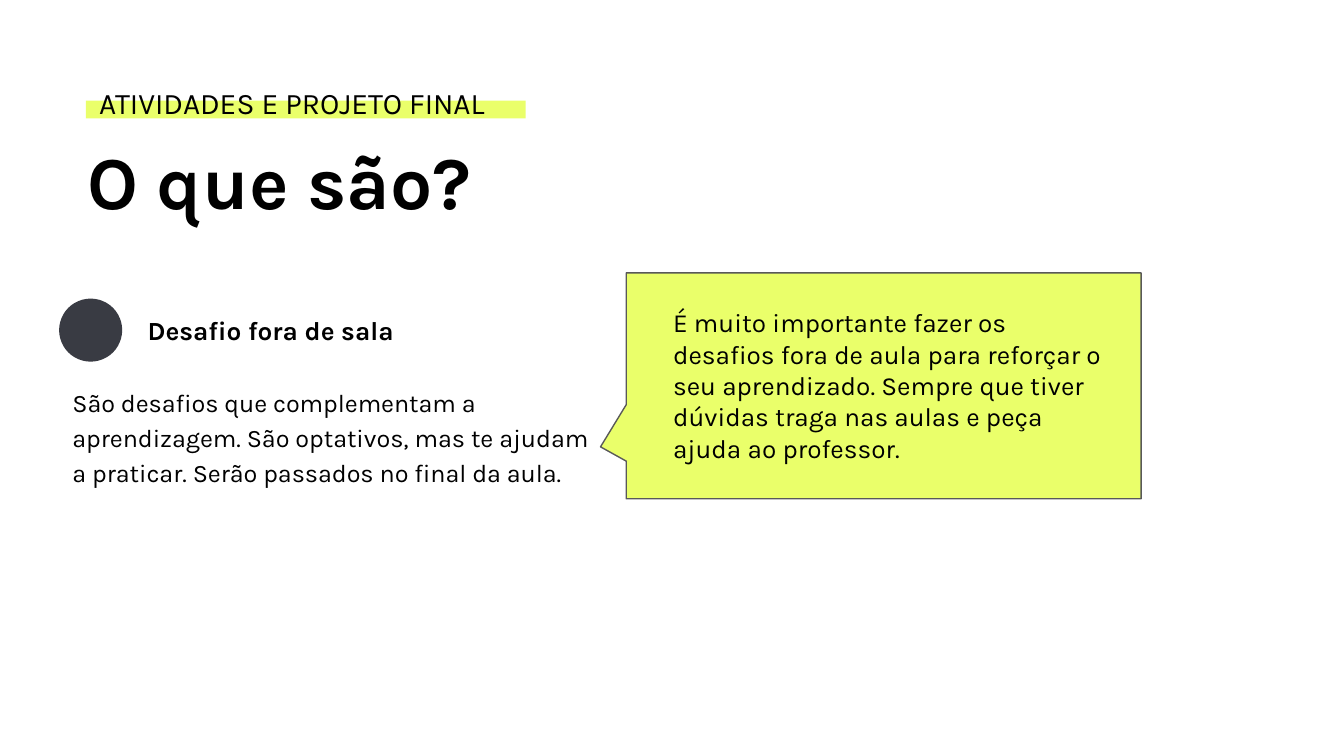
import dataclasses

import pptx
import pptx.dml.color
import pptx.enum.shapes
import pptx.util

SHAPES = pptx.enum.shapes.MSO_SHAPE


@dataclasses.dataclass(frozen=True)
class Theme:
    font: str = "Karla"
    ink: str = "000000"
    highlight: str = "EAFF6A"
    marker: str = "393B43"
    outline: str = "595959"
    title_size: float = 40
    kicker_size: float = 16
    text_size: float = 14
    body_size: float = 13.5
    inset: float = 7.2
    outline_width: float = 0.75


class SlideBuilder:
    """Draw styled elements on the current slide, measured in points."""

    def __init__(self, slide, theme):
        self.slide = slide
        self.theme = theme

    def color(self, value):
        return pptx.dml.color.RGBColor.from_string(value)

    def place(self, *lengths):
        return [pptx.util.Pt(length) for length in lengths]

    def shape(self, kind, left, top, width, height, fill, line=None):
        shape = self.slide.shapes.add_shape(kind, *self.place(left, top, width, height))
        shape.shadow.inherit = False
        shape.fill.solid()
        shape.fill.fore_color.rgb = self.color(fill)
        if line:
            shape.line.color.rgb = self.color(line)
            shape.line.width = pptx.util.Pt(self.theme.outline_width)
        else:
            shape.line.fill.background()
        return shape

    def callout(self, left, top, width, height, tip):
        shape = self.shape(SHAPES.RECTANGULAR_CALLOUT, left, top, width, height,
                           self.theme.highlight, self.theme.outline)
        for index, offset in enumerate(tip):
            shape.adjustments[index] = offset

    def text(self, left, top, width, height, text, size, bold=False, spacing=1.0):
        box = self.slide.shapes.add_textbox(*self.place(left, top, width, height))
        frame = box.text_frame
        frame.word_wrap = True
        inset = pptx.util.Pt(self.theme.inset)
        frame.margin_left = frame.margin_right = inset
        frame.margin_top = frame.margin_bottom = inset
        paragraph = frame.paragraphs[0]
        paragraph.line_spacing = spacing
        run = paragraph.add_run()
        run.text = text
        run.font.name = self.theme.font
        run.font.size = pptx.util.Pt(size)
        run.font.bold = bold
        run.font.color.rgb = self.color(self.theme.ink)


def main():
    theme = Theme()
    presentation = pptx.Presentation()
    presentation.slide_width = pptx.util.Pt(720)
    presentation.slide_height = pptx.util.Pt(405)
    slide = presentation.slides.add_slide(presentation.slide_layouts[6])
    builder = SlideBuilder(slide, theme)

    builder.text(39.6, 70.5, 418.3, 58.3, "O que são?",
                 theme.title_size, bold=True, spacing=0.9)
    builder.shape(SHAPES.RECTANGLE, 46.1, 54, 235.5, 9.4, theme.highlight)
    builder.text(46.1, 38.2, 372.2, 33.8, "ATIVIDADES E PROJETO FINAL",
                 theme.kicker_size)

    builder.text(31.7, 198, 293.8, 68.4,
                 "São desafios que complementam a aprendizagem. São optativos, "
                 "mas te ajudam a praticar. Serão passados no final da aula.",
                 theme.body_size, spacing=1.15)
    builder.shape(SHAPES.OVAL, 31.7, 160, 33.8, 33.8, theme.marker)
    builder.text(72, 161.3, 199.4, 31.7, "Desafio fora de sala",
                 theme.text_size, bold=True)

    builder.callout(335.5, 146.2, 275.8, 121, tip=(-0.55, 0.27))
    builder.text(353.5, 157, 249.8, 99.4,
                 "É muito importante fazer os desafios fora de aula para reforçar "
                 "o seu aprendizado. Sempre que tiver dúvidas traga nas aulas e "
                 "peça ajuda ao professor.",
                 theme.text_size)

    presentation.save("out.pptx")


if __name__ == "__main__":
    main()
